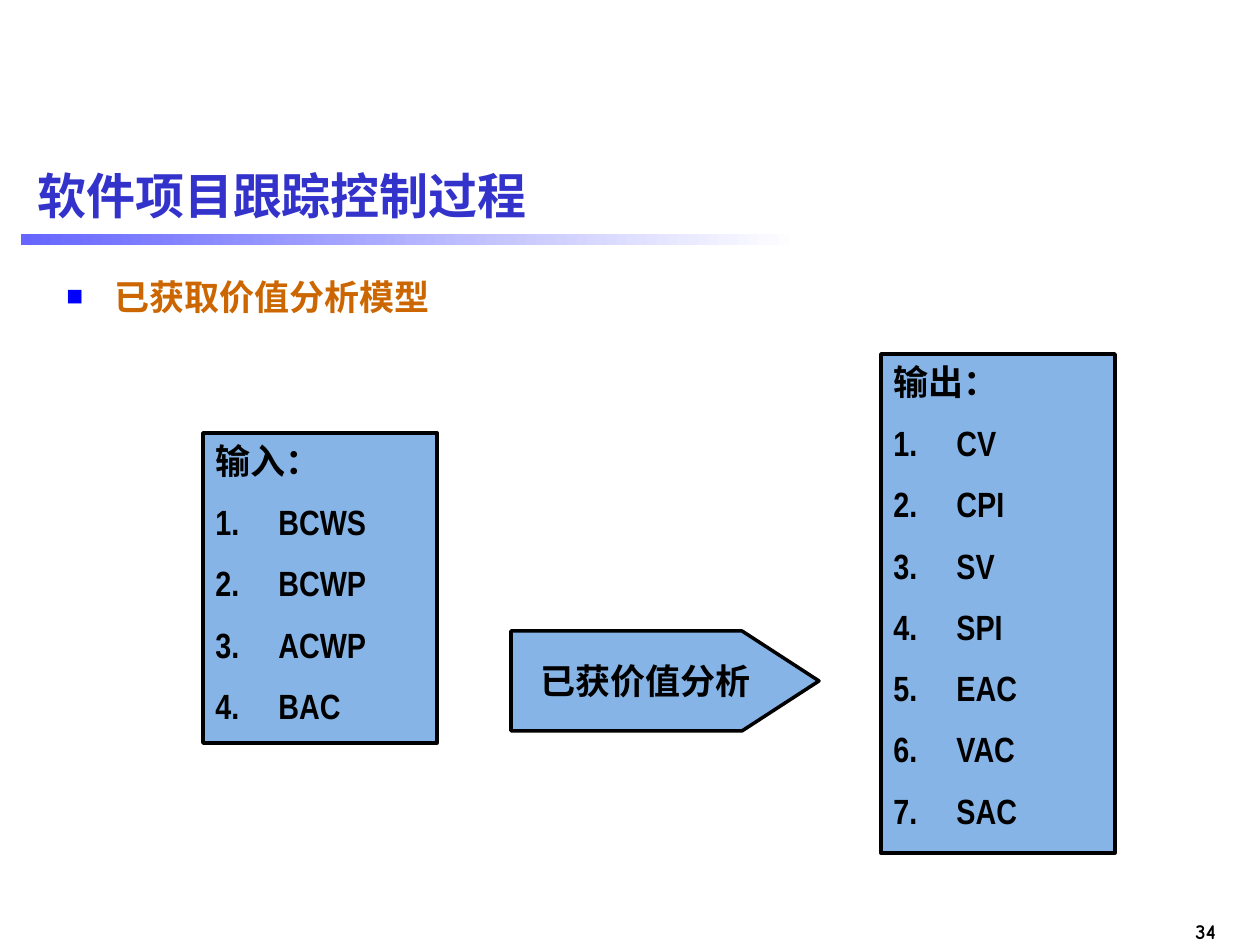
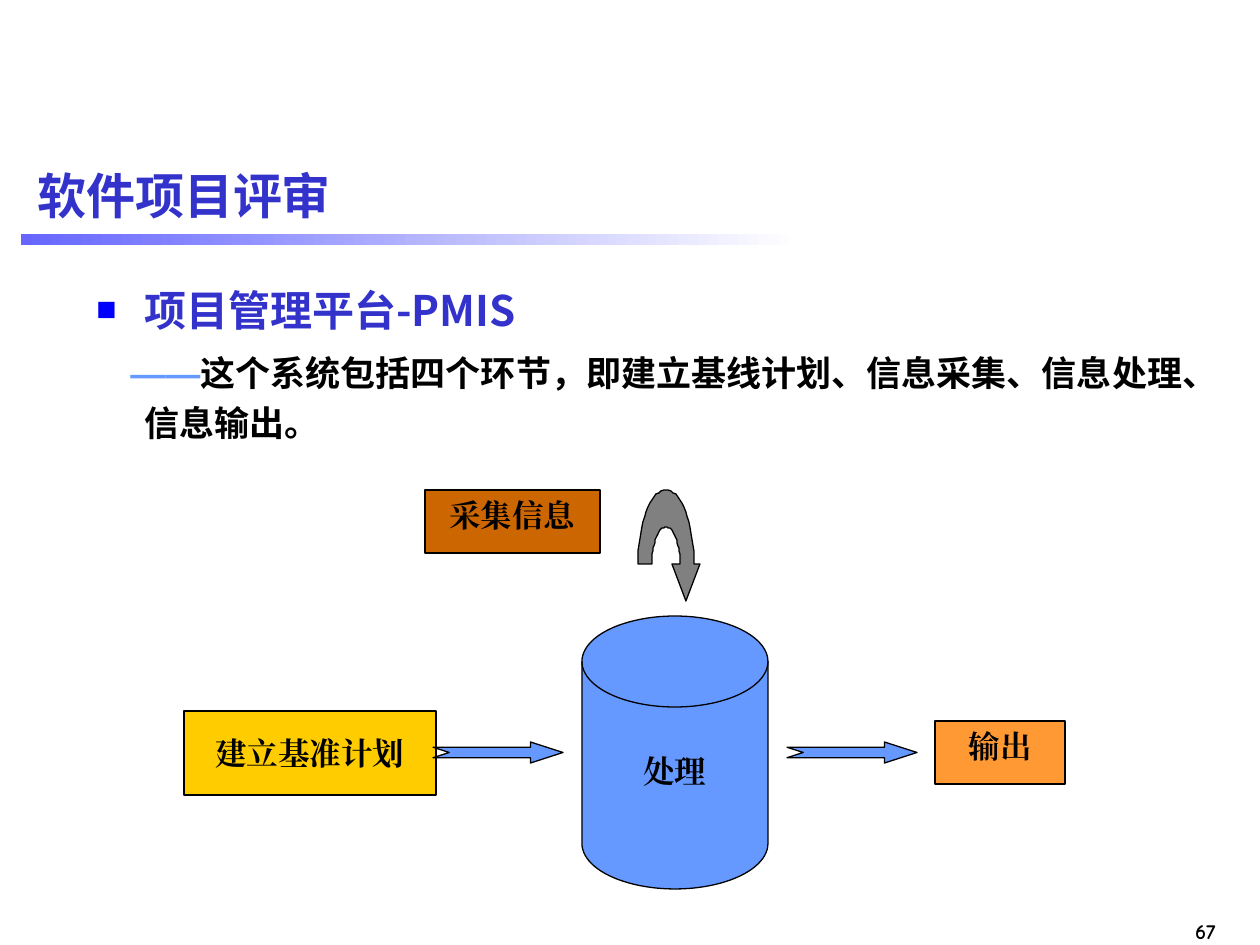
import math

from lxml import etree
from pptx import Presentation
from pptx.dml.color import RGBColor
from pptx.enum.shapes import MSO_SHAPE
from pptx.enum.text import MSO_ANCHOR, PP_ALIGN
from pptx.oxml.ns import qn
from pptx.util import Pt

PX = 914400 / 126
SLIDE_W, SLIDE_H = 1260, 945

RECT = MSO_SHAPE.RECTANGLE
PENTAGON = MSO_SHAPE.PENTAGON
DISK = MSO_SHAPE.FLOWCHART_MAGNETIC_DISK
NOTCHED_ARROW = MSO_SHAPE.NOTCHED_RIGHT_ARROW
LEFT, CENTER, RIGHT = PP_ALIGN.LEFT, PP_ALIGN.CENTER, PP_ALIGN.RIGHT
TOP, MIDDLE = MSO_ANCHOR.TOP, MSO_ANCHOR.MIDDLE

BLACK = RGBColor(0x00, 0x00, 0x00)
WHITE = RGBColor(0xFF, 0xFF, 0xFF)
BAND_BLUE = RGBColor(0x66, 0x66, 0xFF)
TITLE_BLUE = RGBColor(0x33, 0x33, 0xCC)
BULLET_BLUE = RGBColor(0x00, 0x00, 0xFF)
PANEL_BLUE = RGBColor(0x86, 0xB4, 0xE6)
FLOW_BLUE = RGBColor(0x66, 0x99, 0xFF)
BROWN = RGBColor(0xCC, 0x66, 0x00)
YELLOW = RGBColor(0xFF, 0xCC, 0x00)
ORANGE = RGBColor(0xFF, 0x99, 0x33)
GRAY = RGBColor(0x80, 0x80, 0x80)

HEAD_FONT, BODY_FONT = "Arial", "Noto Sans CJK SC"
PANEL_FONT, FLOW_FONT, PAGE_FONT = "Arial Narrow", "Times New Roman", "Comic Neue"

# Content of the earned value slide: heading, items, place
EARNED_VALUE = {"title": "软件项目跟踪控制过程", "page": "34", "topic": "已获取价值分析模型"}
PANELS = [
    ("输入：", ["BCWS", "BCWP", "ACWP", "BAC"], (203, 433, 234, 310)),
    ("输出：", ["CV", "CPI", "SV", "SPI", "EAC", "VAC", "SAC"], (881, 354, 234, 499)),
]
ANALYSIS = ("已获价值分析", (511, 631, 308, 100))

# Content of the review slide: label, fill, place, anchor
REVIEW = {"title": "软件项目评审", "page": "67", "topic": "项目管理平台-PMIS"}
DASH = "——"
SUMMARY = "这个系统包括四个环节，即建立基线计划、信息采集、信息处理、信息输出。"
STEPS = [
    ("建立基准计划", YELLOW, (184, 711, 252, 84), MIDDLE),
    ("输出", ORANGE, (935, 721, 130, 63), TOP),
    ("采集信息", BROWN, (425, 490, 175, 63), TOP),
]
PROCESS = ("处理", (582, 616, 186, 273))
FLOW_ARROW_LEFTS = [433, 787]


def scaled(*lengths):
    return [round(length * PX) for length in lengths]


def style_run(run, font_name, size, color):
    font = run.font
    font.name, font.size, font.bold = font_name, Pt(size), True
    font.color.rgb = color
    east_asian = etree.SubElement(font._element, qn("a:ea"))
    east_asian.set("typeface", font_name)


def style_paragraph(paragraph, font_name, size, color, align=LEFT):
    paragraph.alignment = align
    for run in paragraph.runs:
        style_run(run, font_name, size, color)


def hang(paragraph, left, first):
    """Set the left margin and first-line indent; return the properties."""
    properties = paragraph._p.get_or_add_pPr()
    left, first = scaled(left, first)
    properties.set("marL", str(left))
    properties.set("indent", str(first))
    return properties


def add_square_bullet(paragraph):
    properties = hang(paragraph, 48, -48)
    color = etree.SubElement(properties, qn("a:buClr"))
    etree.SubElement(color, qn("a:srgbClr")).set("val", str(BULLET_BLUE))
    etree.SubElement(properties, qn("a:buSzPct")).set("val", "80000")
    etree.SubElement(properties, qn("a:buFont")).set("typeface", HEAD_FONT)
    etree.SubElement(properties, qn("a:buChar")).set("char", "■")


def add_number(paragraph):
    properties = hang(paragraph, 63, -63)
    etree.SubElement(properties, qn("a:buAutoNum")).set("type", "arabicPeriod")


def add_text(slide, place, text, font_name, size, color, align=LEFT, anchor=TOP):
    frame = slide.shapes.add_textbox(*scaled(*place)).text_frame
    frame.word_wrap = True
    frame.vertical_anchor = anchor
    frame.text = text
    style_paragraph(frame.paragraphs[0], font_name, size, color, align)
    return frame


def paint(shape, fill, line_width):
    shape.shadow.inherit = False
    shape.fill.solid()
    shape.fill.fore_color.rgb = fill
    shape.line.color.rgb = BLACK
    shape.line.width = Pt(line_width)


def add_block(slide, kind, place, fill, line_width, anchor=TOP):
    block = slide.shapes.add_shape(kind, *scaled(*place))
    paint(block, fill, line_width)
    block.text_frame.word_wrap = True
    block.text_frame.vertical_anchor = anchor
    return block


def label(block, text, font_name, size):
    block.text_frame.text = text
    style_paragraph(block.text_frame.paragraphs[0], font_name, size, BLACK, CENTER)


def add_base_slide(prs, content):
    """Blank slide with page number, gradient band and title."""
    slide = prs.slides.add_slide(prs.slide_layouts[6])
    add_text(slide, (1159, 912, 69, 38), content["page"], PAGE_FONT, 12, BLACK, RIGHT)
    band = slide.shapes.add_shape(RECT, *scaled(21, 234, 778, 11))
    band.shadow.inherit = False
    band.line.fill.background()
    band.fill.gradient()
    band.fill.gradient_angle = 0
    for stop, color, position in zip(band.fill.gradient_stops, (BAND_BLUE, WHITE), (0, 1)):
        stop.color.rgb = color
        stop.position = position
    add_text(slide, (25, 145, 1211, 100), content["title"], HEAD_FONT, 28,
             TITLE_BLUE, anchor=MIDDLE)
    return slide


def add_panel(slide, heading, items, place):
    frame = add_block(slide, RECT, place, PANEL_BLUE, 2).text_frame
    frame.text = "\n".join([heading, *items])
    for index, paragraph in enumerate(frame.paragraphs):
        if index:
            add_number(paragraph)
            paragraph.space_before = Pt(11)
        style_paragraph(paragraph, PANEL_FONT, 20, BLACK)


def add_hook_arrow(slide):
    """Half-ellipse arch that ends in a downward arrowhead."""
    center_x, base_y = 666, 564

    def arch(radius_x, radius_y, degrees):
        return [(center_x + radius_x * math.cos(math.radians(d)),
                 base_y - radius_y * math.sin(math.radians(d))) for d in degrees]

    outer = arch(28, 74, range(180, -1, -5))
    inner = arch(14, 37, range(0, 181, 5))
    head = [(700, base_y), (686, 601), (672, base_y)]
    start, *rest = outer + head + inner
    builder = slide.shapes.build_freeform(*start, scale=PX)
    builder.add_line_segments(rest, close=True)
    paint(builder.convert_to_shape(), GRAY, 0.75)


def build_earned_value(prs):
    slide = add_base_slide(prs, EARNED_VALUE)
    topic = add_text(slide, (54, 269, 1181, 63), EARNED_VALUE["topic"], BODY_FONT, 20, BROWN)
    add_square_bullet(topic.paragraphs[0])
    for heading, items, place in PANELS:
        add_panel(slide, heading, items, place)
    text, place = ANALYSIS
    analysis = add_block(slide, PENTAGON, place, PANEL_BLUE, 2, MIDDLE)
    analysis.adjustments[0] = 0.77
    label(analysis, text, PANEL_FONT, 20)


def build_review(prs):
    slide = add_base_slide(prs, REVIEW)

    # Topic and summary
    body = add_text(slide, (84, 267, 1152, 190), REVIEW["topic"], BODY_FONT, 24, TITLE_BLUE)
    topic = body.paragraphs[0]
    add_square_bullet(topic)
    topic.line_spacing = Pt(35)
    summary = body.add_paragraph()
    hang(summary, 48, -14)
    summary.line_spacing = Pt(29)
    summary.space_before = Pt(4.6)
    for text, font_name, color in ((DASH, HEAD_FONT, FLOW_BLUE), (SUMMARY, BODY_FONT, BLACK)):
        run = summary.add_run()
        run.text = text
        style_run(run, font_name, 20, color)

    # Information flow
    for text, fill, place, anchor in STEPS:
        label(add_block(slide, RECT, place, fill, 0.75, anchor), text, FLOW_FONT, 18)
    add_hook_arrow(slide)
    text, place = PROCESS
    process = add_block(slide, DISK, place, FLOW_BLUE, 0.75, MIDDLE)
    process.text_frame.margin_bottom = scaled(14)[0]
    label(process, text, FLOW_FONT, 18)
    for left in FLOW_ARROW_LEFTS:
        arrow = add_block(slide, NOTCHED_ARROW, (left, 742, 130, 21), FLOW_BLUE, 0.75)
        arrow.adjustments[0] = 0.5
        arrow.adjustments[1] = 1.55


def main():
    prs = Presentation()
    prs.slide_width, prs.slide_height = scaled(SLIDE_W, SLIDE_H)
    build_earned_value(prs)
    build_review(prs)
    prs.save("out.pptx")


if __name__ == "__main__":
    main()
